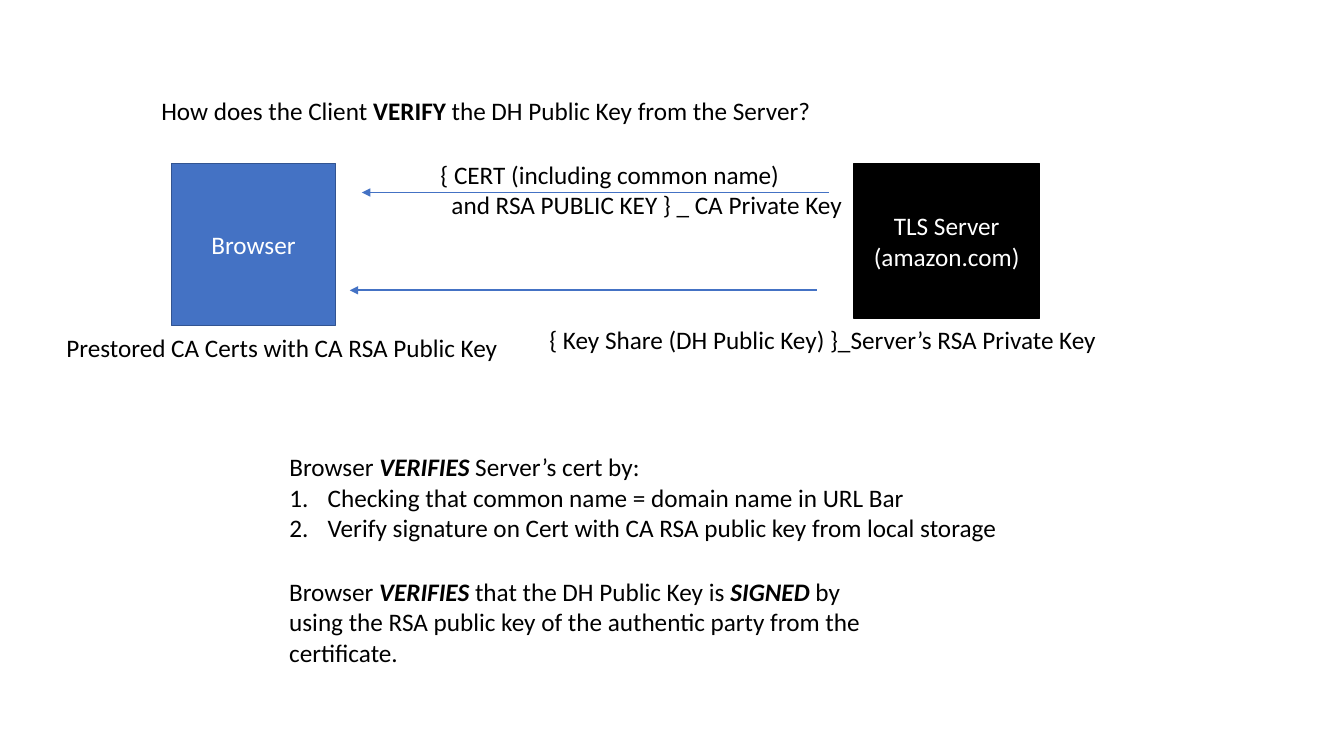
from lxml import etree
from pptx import Presentation
from pptx.dml.color import RGBColor
from pptx.enum.shapes import MSO_CONNECTOR, MSO_SHAPE
from pptx.enum.text import MSO_ANCHOR, MSO_AUTO_SIZE, PP_ALIGN
from pptx.oxml.ns import qn
from pptx.util import Pt

PX = 9144  # 100 px to the inch
LEFT, CENTER = PP_ALIGN.LEFT, PP_ALIGN.CENTER
TOP, MIDDLE = MSO_ANCHOR.TOP, MSO_ANCHOR.MIDDLE
NO_AUTOFIT = MSO_AUTO_SIZE.NONE
RECTANGLE, STRAIGHT = MSO_SHAPE.RECTANGLE, MSO_CONNECTOR.STRAIGHT
COLORS = {
    "text": "000000",
    "node_text": "FFFFFF",
    "browser": "4472C4",
    "browser_edge": "325491",
    "server": "000000",
    "arrow": "4472C4",
}


def color(name):
    return RGBColor.from_string(COLORS[name])


def write(shape, lines, ink="text", align=LEFT, anchor=TOP, italic=True):
    """Write the lines into the shape; words between asterisks are emphasised."""
    frame = shape.text_frame
    frame.word_wrap = False
    frame.auto_size = NO_AUTOFIT
    frame.vertical_anchor = anchor
    frame.text = "\n".join(lines)
    for paragraph, line in zip(frame.paragraphs, lines):
        properties = paragraph._p.get_or_add_pPr()
        properties.set("marL", "0")
        properties.set("indent", "0")
        etree.SubElement(properties, qn("a:buNone"))
        paragraph.alignment = align
        paragraph.space_before = Pt(0)
        paragraph.text = ""
        for position, part in enumerate(line.split("*")):
            run = paragraph.add_run()
            run.text = part
            emphasised = position % 2 == 1
            run.font.name = "Calibri"
            run.font.size = Pt(18)
            run.font.bold = emphasised
            run.font.italic = emphasised and italic
            run.font.color.rgb = color(ink)


prs = Presentation()
prs.slide_width, prs.slide_height = 1333 * PX, 750 * PX
slide = prs.slides.add_slide(prs.slide_layouts[1])
shapes = slide.shapes

# Question and verification steps
question, steps = shapes.title, slide.placeholders[1]
for placeholder, box in ((question, (150, 90, 672, 40)), (steps, (277, 443, 723, 101))):
    placeholder.left, placeholder.top, placeholder.width, placeholder.height = (
        length * PX for length in box
    )
write(question, ["How does the Client *VERIFY* the DH Public Key from the Server?"], italic=False)
write(steps, [
    "Browser *VERIFIES* Server’s cert by:",
    "Checking that common name = domain name in URL Bar",
    "Verify signature on Cert with CA RSA public key from local storage",
])
for step in steps.text_frame.paragraphs[1:]:
    properties = step._p.pPr
    properties.set("marL", str(38 * PX))
    properties.set("indent", str(-38 * PX))
    properties.remove(properties.find(qn("a:buNone")))
    etree.SubElement(properties, qn("a:buFont"), typeface="+mj-lt")
    etree.SubElement(properties, qn("a:buAutoNum"), type="arabicPeriod")

# Browser and server
for lines, box, fill, edge in (
    (["Browser"], (170, 162, 163, 161), "browser", "browser_edge"),
    (["TLS Server", "(amazon.com)"], (847, 162, 184, 154), "server", "server"),
):
    node = shapes.add_shape(RECTANGLE, *(length * PX for length in box))
    node.shadow.inherit = False
    node.fill.solid()
    node.fill.fore_color.rgb = color(fill)
    node.line.color.rgb = color(edge)
    node.line.width = Pt(1)
    write(node, lines, "node_text", CENTER, MIDDLE)

# Messages from server to browser
for start, end, y in ((822, 359, 191), (810, 347, 288)):
    arrow = shapes.add_connector(STRAIGHT, start * PX, y * PX, end * PX, y * PX)
    arrow.line.color.rgb = color("arrow")
    arrow.line.width = Pt(1.25)
    etree.SubElement(arrow.line._get_or_add_ln(), qn("a:tailEnd"), type="triangle")
    etree.SubElement(arrow._element.spPr, qn("a:effectLst"))

# Labels and conclusion
for box, lines in (
    ((427, 153, 423, 71), ["{ CERT (including common name)", "and RSA PUBLIC KEY } _ CA Private Key"]),
    ((535, 317, 585, 40), ["{ Key Share (DH Public Key) }_Server’s RSA Private Key"]),
    ((56, 325, 453, 40), ["Prestored CA Certs with CA RSA Public Key"]),
    ((277, 567, 594, 101), [
        "Browser *VERIFIES* that the DH Public Key is *SIGNED* by",
        "using the RSA public key of the authentic party from the",
        "certificate.",
    ]),
):
    label = shapes.add_textbox(*(length * PX for length in box))
    write(label, lines)
    if lines[0].startswith("{ CERT"):
        label.text_frame.paragraphs[1]._p.pPr.set("marL", str(11 * PX))

prs.save("out.pptx")
